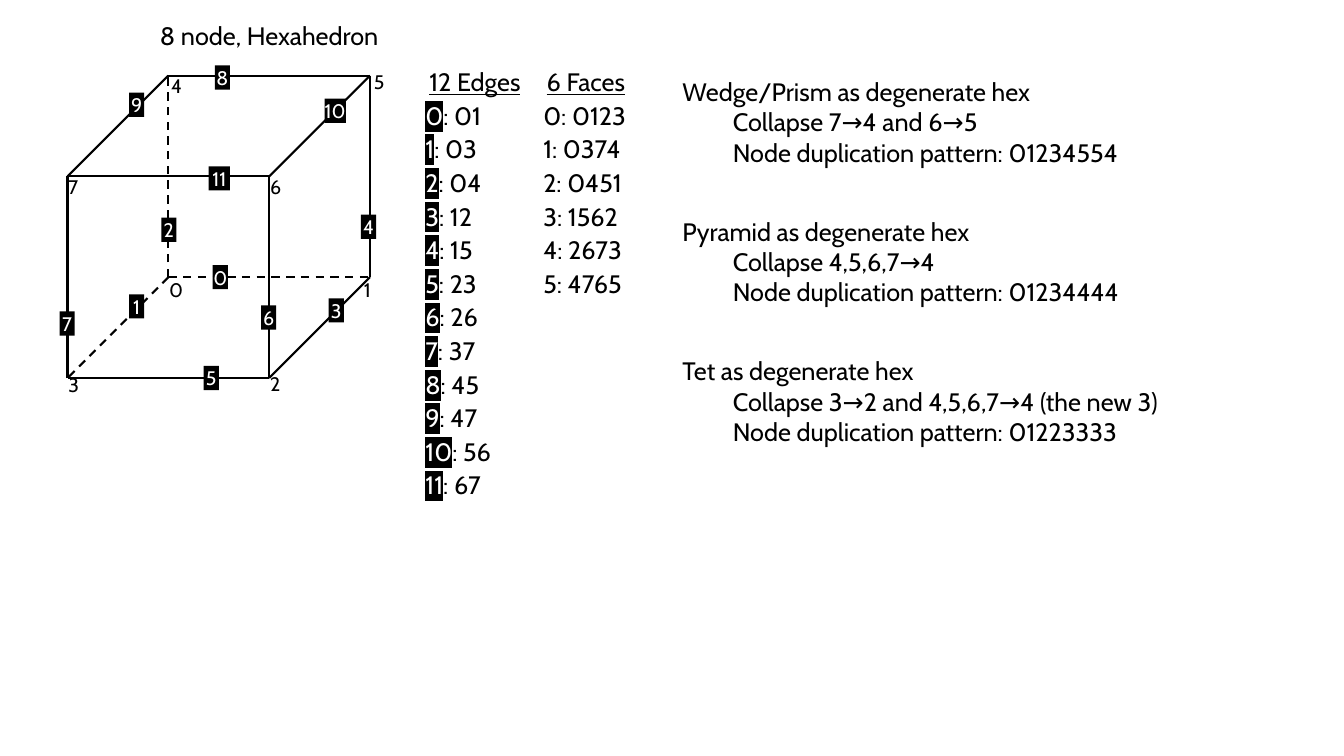
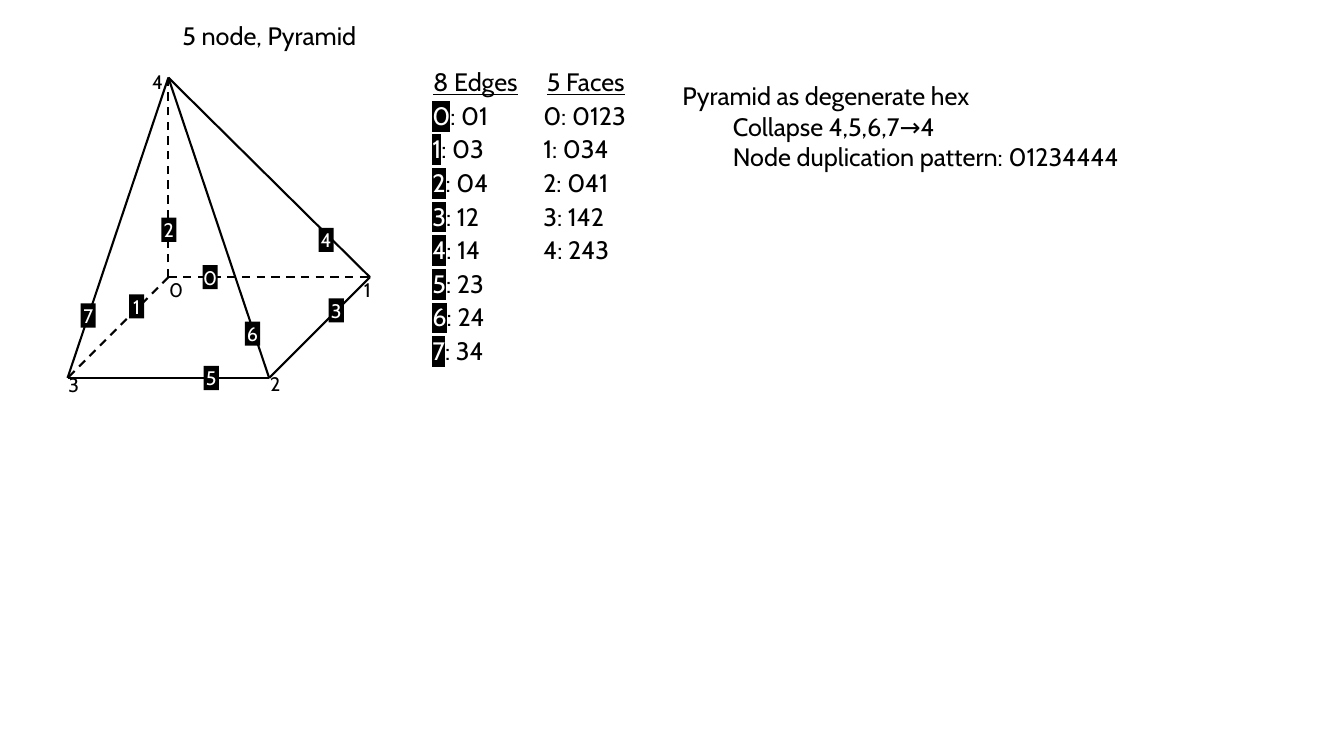
from lxml.etree import SubElement
from pptx import Presentation
from pptx.dml.color import RGBColor
from pptx.enum.dml import MSO_LINE
from pptx.enum.shapes import MSO_CONNECTOR, MSO_SHAPE
from pptx.enum.text import MSO_ANCHOR, MSO_AUTO_SIZE, PP_ALIGN
from pptx.oxml.ns import qn
from pptx.util import Inches, Pt

BLACK = RGBColor(0x00, 0x00, 0x00)
WHITE = RGBColor(0xFF, 0xFF, 0xFF)
FONT = "Cabin"
BODY, SMALL, LIST_SPACING = 18, 14, 24
LIST_TOP = 0.61
NOTE_LEFT, NOTE_WIDTH, NOTE_HEIGHT = 6.67, 5.42, 1.01
LABEL_WIDTH, LABEL_HEIGHT = 0.33, 0.34
TAG_HEIGHT = 0.24
TAG_WIDTHS = {1: 0.15, 2: 0.21}

BASE_NODES = [
    ((1.67, 2.75), (1.58, 2.71)),
    ((3.67, 2.75), (3.51, 2.71)),
    ((2.67, 3.75), (2.58, 3.64)),
    ((0.67, 3.75), (0.58, 3.65)),
]
BASE_TAGS = {
    "03": (1.28, 2.92), "04": (1.60, 2.16),
    "12": (3.26, 2.96), "23": (2.02, 3.63),
}
PYRAMID_NOTE = ("Pyramid as degenerate hex", "Collapse 4,5,6,7→4", "01234444")

ELEMENTS = [
    {
        "title": "8 node, Hexahedron",
        "nodes": BASE_NODES + [
            ((1.67, 0.75), (1.60, 0.68)),
            ((3.67, 0.75), (3.61, 0.64)),
            ((2.67, 1.75), (2.58, 1.69)),
            ((0.67, 1.75), (0.58, 1.69)),
        ],
        "edges": ["01", "03", "04", "12", "15", "23", "26", "37", "45", "47", "56", "67"],
        "tags": BASE_TAGS | {
            "01": (2.11, 2.63), "15": (3.58, 2.13), "26": (2.59, 3.03), "37": (0.59, 3.09),
            "45": (2.13, 0.65), "47": (1.28, 0.92), "56": (3.22, 0.98), "67": (2.07, 1.65),
        },
        "edge_list": (4.12, 1.18),
        "faces": ["0123", "0374", "0451", "1562", "2673", "4765"],
        "notes_top": 0.71,
        "notes": [
            ("Wedge/Prism as degenerate hex", "Collapse 7→4 and 6→5", "01234554"),
            PYRAMID_NOTE,
            ("Tet as degenerate hex", "Collapse 3→2 and 4,5,6,7→4 (the new 3)", "01223333"),
        ],
    },
    {
        "title": "5 node, Pyramid",
        "nodes": BASE_NODES + [((1.67, 0.77), (1.41, 0.64))],
        "edges": ["01", "03", "04", "12", "14", "23", "24", "34"],
        "tags": BASE_TAGS | {
            "01": (2.01, 2.63), "14": (3.16, 2.26), "24": (2.43, 3.19), "34": (0.80, 3.01),
        },
        "edge_list": (4.19, 1.05),
        "faces": ["0123", "034", "041", "142", "243"],
        "notes_top": 0.75,
        "notes": [PYRAMID_NOTE],
    },
]
FACE_LIST = (5.29, 1.04)
NOTE_STEP = 1.385


def add_span(para, text, size=BODY, color=BLACK, underline=None, highlight=None):
    span = para.add_run()
    span.text = text
    span.font.size = Pt(size)
    span.font.name = FONT
    span.font.color.rgb = color
    span.font.underline = underline
    if highlight is not None:
        properties = span._r.get_or_add_rPr()
        mark = SubElement(properties, qn("a:highlight"))
        SubElement(mark, qn("a:srgbClr")).set("val", str(highlight))
        properties.find(qn("a:solidFill")).addnext(mark)


def add_text_box(page, left, top, width, height, wrap=True):
    box = page.shapes.add_textbox(Inches(left), Inches(top), Inches(width), Inches(height))
    box.text_frame.word_wrap = wrap
    box.text_frame.auto_size = MSO_AUTO_SIZE.SHAPE_TO_FIT_TEXT
    return box.text_frame


def add_title(page, text):
    title = page.shapes.title
    title.left, title.top, title.width, title.height = map(Inches, (0.67, 0.15, 4, 0.4))
    frame = title.text_frame
    frame.vertical_anchor = MSO_ANCHOR.TOP
    frame.auto_size = MSO_AUTO_SIZE.SHAPE_TO_FIT_TEXT
    frame.paragraphs[0].alignment = PP_ALIGN.CENTER
    add_span(frame.paragraphs[0], text)


def add_edge(page, start, end, hidden):
    line = page.shapes.add_connector(MSO_CONNECTOR.STRAIGHT, *map(Inches, start + end))
    line.line.color.rgb = BLACK
    line.line.width = Pt(1.5)
    if hidden:
        line.line.dash_style = MSO_LINE.DASH
    SubElement(line._element.spPr, qn("a:effectLst"))


def add_tag(page, text, left, top):
    tag = page.shapes.add_shape(
        MSO_SHAPE.RECTANGLE, Inches(left), Inches(top),
        Inches(TAG_WIDTHS[len(text)]), Inches(TAG_HEIGHT))
    tag.shadow.inherit = False
    tag.fill.solid()
    tag.fill.fore_color.rgb = BLACK
    tag.line.fill.background()
    frame = tag.text_frame
    frame.margin_left = frame.margin_right = frame.margin_top = frame.margin_bottom = 0
    frame.auto_size = MSO_AUTO_SIZE.SHAPE_TO_FIT_TEXT
    frame.paragraphs[0].alignment = PP_ALIGN.CENTER
    add_span(frame.paragraphs[0], text, SMALL, WHITE)


def add_list(page, place, heading, items, tagged=False):
    left, width = place
    height = 0.41 + len(items) * LIST_SPACING / 72
    frame = add_text_box(page, left, LIST_TOP, width, height, wrap=False)
    frame.paragraphs[0].alignment = PP_ALIGN.CENTER
    add_span(frame.paragraphs[0], f"{len(items)} {heading}", underline=True)
    for index, nodes in enumerate(items):
        para = frame.add_paragraph()
        para.line_spacing = Pt(LIST_SPACING)
        if tagged:
            add_span(para, str(index), color=WHITE, highlight=BLACK)
            add_span(para, f": {nodes}")
        else:
            add_span(para, f"{index}: {nodes}")


def add_note(page, top, heading, collapse, pattern):
    frame = add_text_box(page, NOTE_LEFT, top, NOTE_WIDTH, NOTE_HEIGHT)
    add_span(frame.paragraphs[0], heading)
    for text in (collapse, f"Node duplication pattern: {pattern}"):
        para = frame.add_paragraph()
        para.level = 1
        add_span(para, text)


def add_element(page, element):
    add_title(page, element["title"])
    points = [point for point, label in element["nodes"]]
    for edge in element["edges"]:
        start, end = (points[int(node)] for node in edge)
        add_edge(page, start, end, hidden="0" in edge)
    for index, (point, label) in enumerate(element["nodes"]):
        frame = add_text_box(page, *label, LABEL_WIDTH, LABEL_HEIGHT)
        add_span(frame.paragraphs[0], str(index), SMALL)
    for index, edge in enumerate(element["edges"]):
        add_tag(page, str(index), *element["tags"][edge])
    add_list(page, element["edge_list"], "Edges", element["edges"], tagged=True)
    add_list(page, FACE_LIST, "Faces", element["faces"])
    for index, note in enumerate(element["notes"]):
        add_note(page, element["notes_top"] + index * NOTE_STEP, *note)


def main():
    deck = Presentation()
    deck.slide_width, deck.slide_height = Inches(13.33), Inches(7.5)
    title_only = deck.slide_layouts[5]
    for element in ELEMENTS:
        add_element(deck.slides.add_slide(title_only), element)
    deck.save("out.pptx")


if __name__ == "__main__":
    main()
